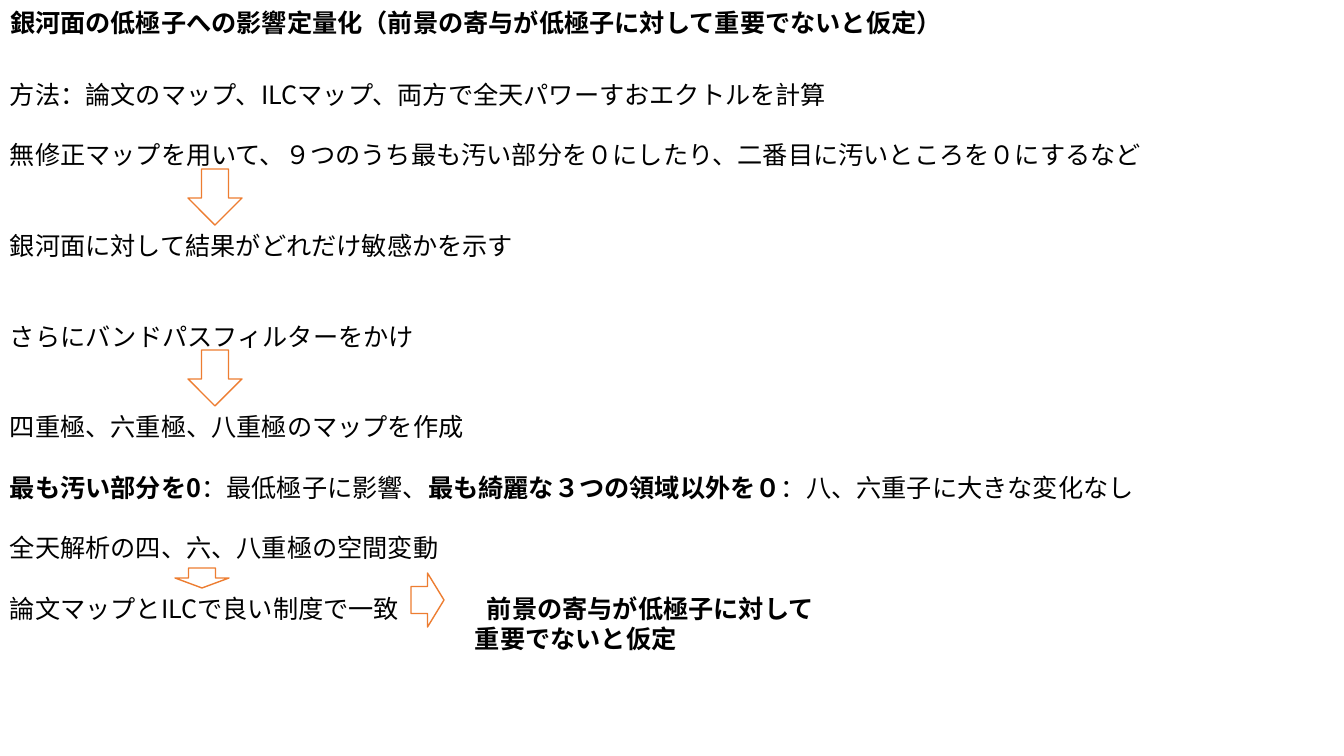
from lxml.etree import SubElement
from pptx import Presentation
from pptx.dml.color import RGBColor
from pptx.enum.shapes import MSO_SHAPE as Preset
from pptx.enum.text import MSO_ANCHOR as Anchor, MSO_AUTO_SIZE as AutoSize, PP_ALIGN as Align
from pptx.oxml.ns import qn
from pptx.util import Emu, Pt

PIXEL = 9071.43
BLACK = RGBColor(0x00, 0x00, 0x00)
ORANGE = RGBColor(0xED, 0x7D, 0x31)
FONT = "Noto Sans CJK JP"
LINE = 21.6
CONCLUSION_LEFT = 465
CONCLUSION_TAB = 477


def px(value):
    return Emu(round(value * PIXEL))


def fill_para(para, blank_lines, spans):
    para.alignment = Align.LEFT
    para.line_spacing = Pt(LINE)
    para.space_before = Pt(LINE * blank_lines)
    for text, bold in spans:
        span = para.add_run()
        span.text = text
        span.font.size = Pt(18)
        span.font.bold = bold
        span.font.color.rgb = BLACK
        span.font.name = FONT
        SubElement(span.font._element, qn("a:ea"), typeface=FONT)


deck = Presentation()
deck.slide_width, deck.slide_height = px(1344), px(756)
page = deck.slides.add_slide(deck.slide_layouts[5])

title = page.shapes.title
title.left, title.top, title.width, title.height = px(0), px(2), px(962), px(40)
body = page.shapes.add_textbox(px(0), px(74), px(1165), px(590))
for box in (title, body):
    frame = box.text_frame
    frame.word_wrap = False
    frame.auto_size = AutoSize.NONE
    frame.vertical_anchor = Anchor.TOP
    frame.margin_left = frame.margin_right = px(10)
    frame.margin_top = frame.margin_bottom = px(5)

fill_para(title.text_frame.paragraphs[0], 0,
          [("銀河面の低極子への影響定量化（前景の寄与が低極子に対して重要でないと仮定）", True)])

steps = [
    (0, [("方法：論文のマップ、ILCマップ、両方で全天パワーすおエクトルを計算", False)]),
    (1, [("無修正マップを用いて、９つのうち最も汚い部分を０にしたり、二番目に汚いところを０にするなど", False)]),
    (2, [("銀河面に対して結果がどれだけ敏感かを示す", False)]),
    (2, [("さらにバンドパスフィルターをかけ", False)]),
    (2, [("四重極、六重極、八重極のマップを作成", False)]),
    (1, [("最も汚い部分を0", True), ("：最低極子に影響、", False),
         ("最も綺麗な３つの領域以外を０", True), ("：八、六重子に大きな変化なし", False)]),
    (1, [("全天解析の四、六、八重極の空間変動", False)]),
    (1, [("論文マップとILCで良い制度で一致\t", False), ("前景の寄与が低極子に対して", True)]),
    (0, [("重要でないと仮定", True)]),
]
for number, (blank_lines, spans) in enumerate(steps):
    para = body.text_frame.add_paragraph() if number else body.text_frame.paragraphs[0]
    fill_para(para, blank_lines, spans)

agreement, conclusion = body.text_frame.paragraphs[-2:]
tabs = SubElement(agreement._p.get_or_add_pPr(), qn("a:tabLst"))
SubElement(tabs, qn("a:tab"), pos=str(px(CONCLUSION_TAB)), algn="l")
conclusion._p.get_or_add_pPr().set("marL", str(px(CONCLUSION_LEFT)))

arrows = [
    (Preset.DOWN_ARROW, 188, 169, 54, 56),
    (Preset.DOWN_ARROW, 188, 350, 54, 56),
    (Preset.DOWN_ARROW, 175, 568, 54, 20),
    (Preset.RIGHT_ARROW, 411, 573, 33, 54),
]
for preset, left, top, width, height in arrows:
    arrow = page.shapes.add_shape(preset, px(left), px(top), px(width), px(height))
    arrow.shadow.inherit = False
    arrow.fill.background()
    arrow.line.color.rgb = ORANGE
    arrow.line.width = Pt(1)

deck.save("out.pptx")
